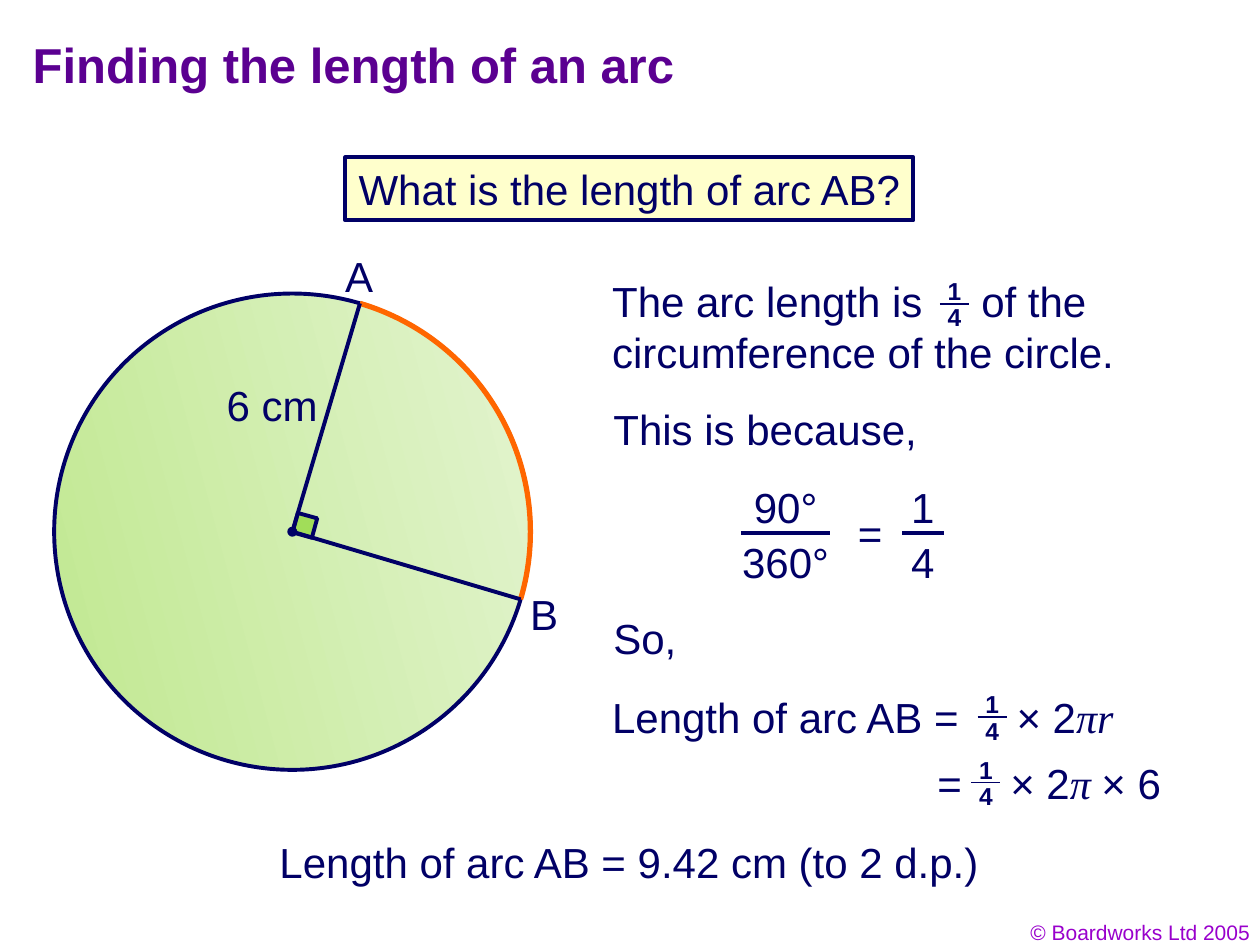
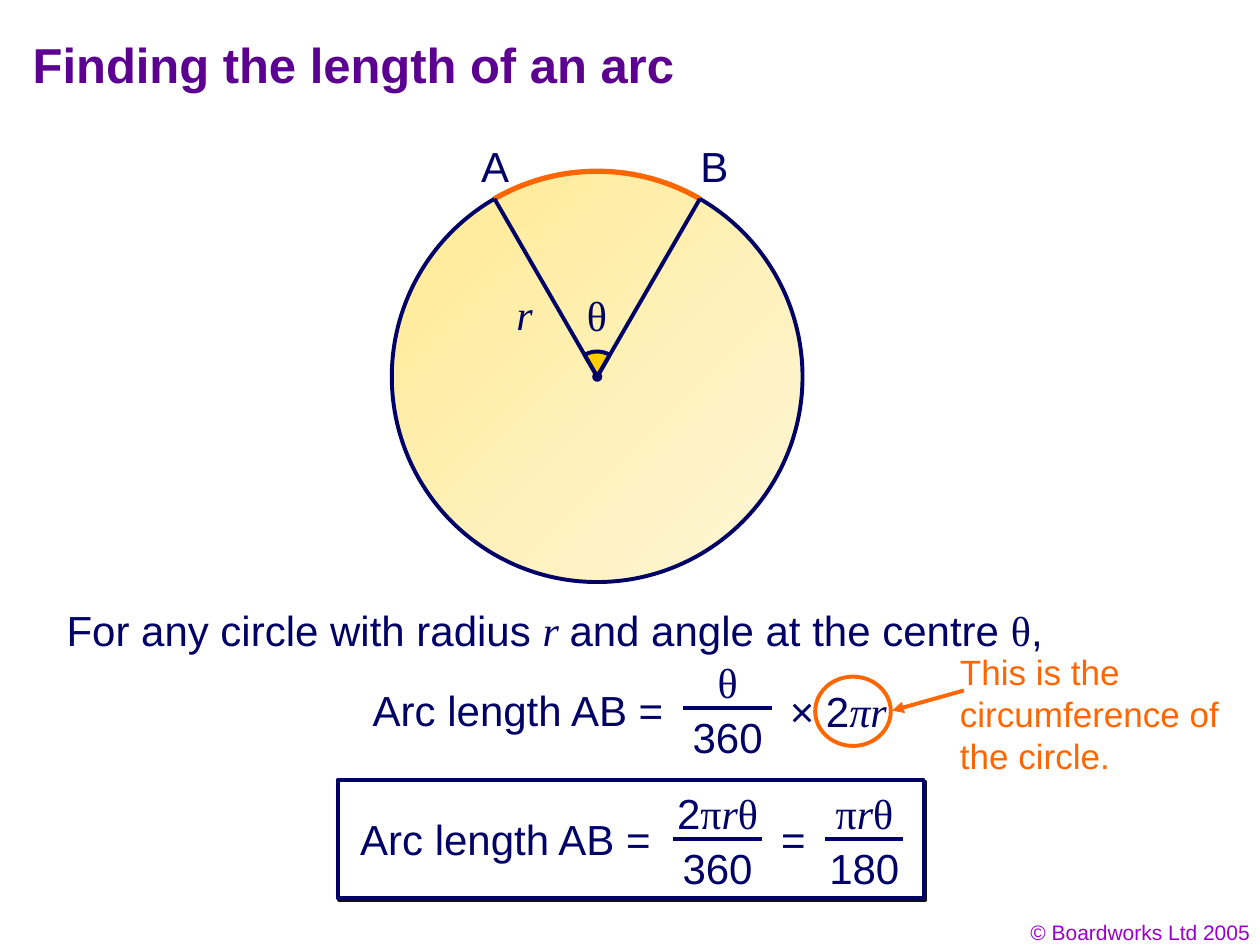
from math import cos, radians, sin

from lxml import etree
from pptx import Presentation
from pptx.dml.color import RGBColor
from pptx.enum.shapes import MSO_CONNECTOR, MSO_SHAPE
from pptx.enum.text import MSO_ANCHOR, PP_ALIGN
from pptx.oxml.ns import qn
from pptx.util import Inches, Pt

LEFT, MID, RIGHT = PP_ALIGN.LEFT, PP_ALIGN.CENTER, PP_ALIGN.RIGHT
MIDDLE = MSO_ANCHOR.MIDDLE
RECT, OVAL = MSO_SHAPE.RECTANGLE, MSO_SHAPE.OVAL
ARC, PIE = MSO_SHAPE.ARC, MSO_SHAPE.PIE
STRAIGHT = MSO_CONNECTOR.STRAIGHT
SANS, SERIF = "Arial", "Times New Roman"
INK, NAVY, ORANGE = "010066", "000066", "FF6600"
PURPLE, VIOLET = "5B0091", "9900CC"
TITLE_ONLY = 5


def color(code):
    return RGBColor.from_string(code)


def serif(text):
    return text, SERIF, False


def slant(text):
    return text, SERIF, True


def polar(hub, size, angle):
    turn = radians(angle)
    return hub[0] + size * cos(turn), hub[1] + size * sin(turn)


class Deck:
    def __init__(self):
        self.show = Presentation()
        self.show.slide_width = Inches(10)
        self.show.slide_height = Inches(7.5)
        self.page = None

    def start(self, title):
        layout = self.show.slide_layouts[TITLE_ONLY]
        self.page = self.show.slides.add_slide(layout).shapes
        head = self.page.title
        head.left, head.top = Inches(0.16), Inches(0.16)
        head.width, head.height = Inches(8.54), Inches(0.69)
        head.text_frame.vertical_anchor = MIDDLE
        self.put(head.text_frame, [title], 28, PURPLE, LEFT, True)
        self.text(7.69, 7.25, 2.33, "© Boardworks Ltd 2005", size=12,
                  ink=VIOLET, align=RIGHT, wrap=True)

    def put(self, frame, parts, size, ink, align=LEFT, bold=False, tab=None):
        para = frame.paragraphs[0]
        para.alignment = align
        if tab:
            props = para._p.get_or_add_pPr()
            stops = etree.SubElement(props, qn("a:tabLst"))
            etree.SubElement(stops, qn("a:tab"), pos=str(Inches(tab)), algn="l")
        parts = [(p, SANS, False) if isinstance(p, str) else p for p in parts]
        mixed = len({p[1:] for p in parts}) > 1
        font = para.font
        font.size, font.bold = Pt(size), bold
        font.color.rgb = color(ink)
        if not mixed:
            font.name, font.italic = parts[0][1:]
        for words, face, italic in parts:
            run = para.add_run()
            run.text = words
            if mixed:
                run.font.name, run.font.italic = face, italic

    def text(self, x, y, w, *parts, size=24, ink=INK, align=LEFT, bold=False,
             wrap=False, tab=None, h=None):
        high = h or round(0.1 + size / 60, 2)
        box = self.page.add_textbox(Inches(x), Inches(y), Inches(w), Inches(high))
        if wrap:
            box.text_frame.word_wrap = True
        self.put(box.text_frame, parts, size, ink, align, bold, tab)

    def shape(self, kind, x, y, w, h, fill=None, line=None, width=2.25, turn=0):
        item = self.page.add_shape(kind, Inches(x), Inches(y), Inches(w), Inches(h))
        item.shadow.inherit = False
        item.rotation = turn
        if fill:
            item.fill.solid()
            item.fill.fore_color.rgb = color(fill)
        else:
            item.fill.background()
        if line:
            item.line.color.rgb = color(line)
            item.line.width = Pt(width)
        else:
            item.line.fill.background()
        return item

    def round(self, hub, size, kind=OVAL, span=None, **style):
        item = self.shape(kind, hub[0] - size, hub[1] - size,
                          2 * size, 2 * size, **style)
        for spot, angle in enumerate(span or ()):
            item.adjustments[spot] = angle * 0.6
        return item

    def disc(self, hub, size, shades, angle):
        item = self.round(hub, size, line=NAVY)
        item.fill.gradient()
        item.fill.gradient_angle = angle
        for stop, shade in zip(item.fill.gradient_stops, shades):
            stop.color.rgb = color(shade)

    def sector(self, hub, size, span):
        self.round(hub, size, ARC, span, line=ORANGE, width=3)
        for angle in span:
            self.line(hub, polar(hub, size, angle))
        self.round(hub, 0.04, fill=NAVY)

    def line(self, start, end, ink=NAVY, width=2.25, arrow=False):
        item = self.page.add_connector(
            STRAIGHT, *[Inches(v) for v in (*start, *end)])
        item.line.color.rgb = color(ink)
        item.line.width = Pt(width)
        props = item._element.spPr
        if arrow:
            etree.SubElement(props.get_or_add_ln(), qn("a:tailEnd"),
                             type="triangle")
        etree.SubElement(props, qn("a:effectLst"))

    def ratio(self, x, y, w, top, low, small=False):
        size, rise, drop = (14, 0.27, 0.06) if small else (24, 0.46, 0.02)
        for parts, shift in ((top, rise), (low, drop)):
            self.text(x - 0.1, y - shift, w + 0.2, *parts, size=size,
                      align=MID, bold=small)
        self.line((x, y), (x + w, y), width=1 if small else 2.25)

    def quarter(self, x, y):
        self.ratio(x, y, 0.23, ["1"], ["4"], small=True)

    def shade(self, item):
        effects = item._element.spPr.find(qn("a:effectLst"))
        drop = etree.SubElement(effects, qn("a:outerShdw"), dist=str(Pt(1.4)),
                                dir="2700000", algn="ctr", rotWithShape="0")
        etree.SubElement(drop, qn("a:srgbClr"), val="111111")


def example(deck):
    deck.start("Finding the length of an arc")
    ask = deck.shape(RECT, 2.74, 1.25, 4.51, 0.5, "FFFFCC", NAVY)
    ask.text_frame.word_wrap = False
    deck.put(ask.text_frame, ["What is the length of arc AB?"], 24, INK, MID)

    hub = 2.32, 4.22
    deck.disc(hub, 1.89, ("E3F4CF", "C0E890"), 195)
    deck.shape(RECT, 2.34, 4.09, 0.16, 0.16, "A1DD59", NAVY, turn=15.5)
    deck.sector(hub, 1.89, (286.5, 16.5))
    deck.text(2.64, 1.94, 0.42, "A")
    deck.text(4.11, 4.62, 0.42, "B")
    deck.text(1.7, 2.96, 0.92, "6 cm")

    deck.text(4.76, 2.14, 4.75,
              "The arc length is\tof the circumference of the circle.",
              wrap=True, tab=2.93, h=0.9)
    deck.quarter(7.46, 2.41)
    deck.text(4.77, 3.15, 2.61, "This is because,")
    deck.ratio(5.88, 4.23, 0.71, ["90°"], ["360°"])
    deck.text(6.71, 3.98, 0.39, "=")
    deck.ratio(7.16, 4.23, 0.33, ["1"], ["4"])
    deck.text(4.77, 4.81, 0.7, "So,")
    deck.text(4.76, 5.44, 4.6, "Length of arc AB =\t× 2", slant("πr"),
              wrap=True, tab=3.21)
    deck.quarter(7.76, 5.69)
    deck.text(7.34, 5.96, 0.39, "=")
    deck.quarter(7.71, 6.21)
    deck.text(7.92, 5.96, 1.4, "× 2", slant("π "), "× 6")
    deck.text(2.12, 6.59, 5.77, "Length of arc AB = 9.42 cm (to 2 d.p.)")


def formula(deck):
    deck.start("Finding the length of an arc")
    hub, span = (4.74, 2.99), (240, 300)
    deck.disc(hub, 1.63, ("FEF6D8", "FFEA93"), 135)
    deck.round(hub, 0.2, PIE, span, fill="FFCC00", line=NAVY)
    deck.sector(hub, 1.63, span)
    deck.text(3.72, 1.07, 0.42, "A")
    deck.text(5.46, 1.07, 0.42, "B")
    deck.text(4, 2.24, 0.33, slant("r"))
    deck.text(4.56, 2.25, 0.36, serif("θ"))

    deck.text(0.43, 4.75, 8.43, "For any circle with radius ", slant("r "),
              "and angle at the centre ", serif("θ"), ",", wrap=True)
    deck.text(2.86, 5.38, 2.52, "Arc length AB =")
    deck.ratio(5.42, 5.62, 0.71, [serif("θ")], ["360"])
    deck.text(6.17, 5.39, 0.97, "× 2", slant("πr"))

    deck.shade(deck.shape(RECT, 2.68, 6.19, 4.65, 0.94, "FFFFFF", NAVY))
    deck.text(2.76, 6.41, 2.52, "Arc length AB =")
    product = [serif("π"), slant("r"), serif("θ")]
    deck.ratio(5.34, 6.66, 0.71, ["2", *product], ["360"])
    deck.text(6.1, 6.41, 0.39, "=")
    deck.ratio(6.55, 6.66, 0.62, product, ["180"])

    deck.shape(OVAL, 6.47, 5.37, 0.6, 0.55, line=ORANGE)
    deck.text(7.52, 5.11, 2.42, "This is the circumference of the circle.",
              size=20, ink=ORANGE, wrap=True, h=1.1)
    deck.line((7.65, 5.48), (7.08, 5.64), ORANGE, arrow=True)


def main():
    deck = Deck()
    example(deck)
    formula(deck)
    deck.show.save("out.pptx")


if __name__ == "__main__":
    main()
